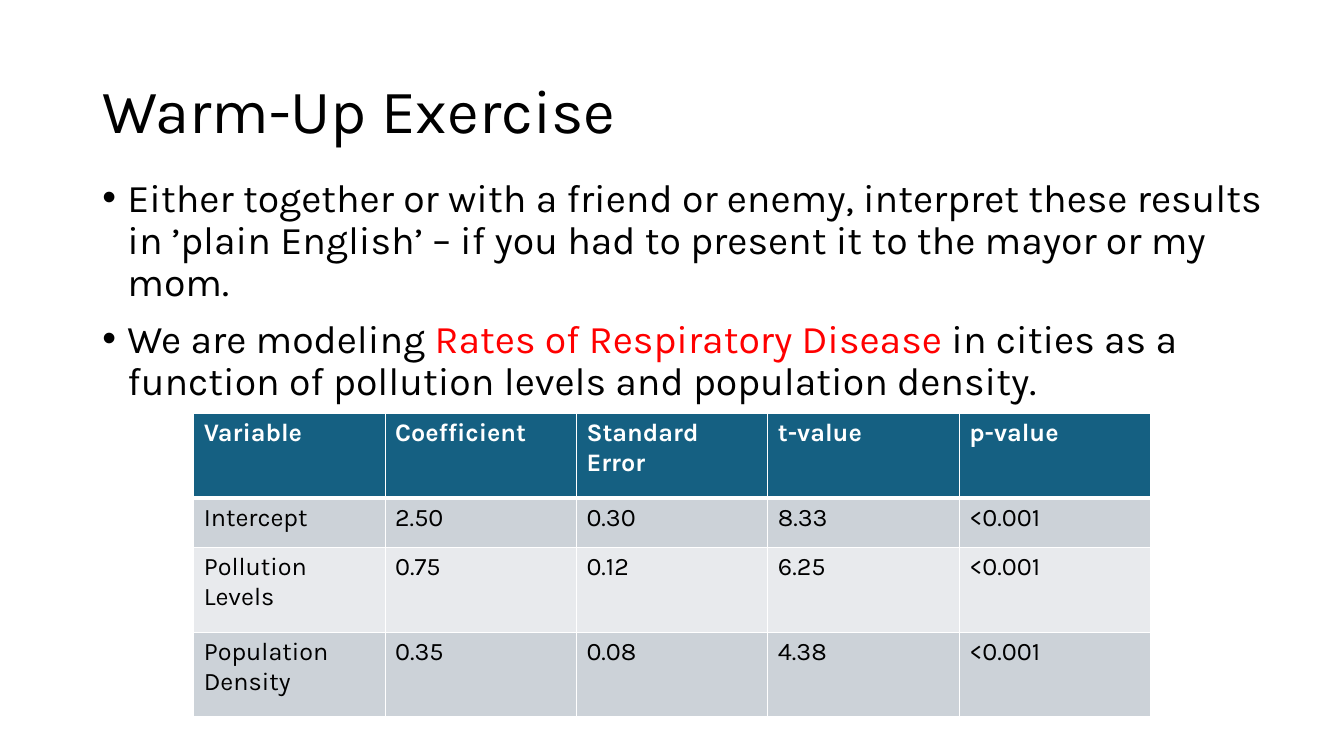
import pptx
import pptx.dml.color
import pptx.enum.text
import pptx.oxml
import pptx.oxml.ns
import pptx.util
from pptx.util import Pt

FONT = "Karla"
BLACK, WHITE, RED = "000000", "FFFFFF", "FF0000"
HEADER_FILL, DARK_BAND, LIGHT_BAND = "156082", "CCD2D8", "E8EAED"

BULLETS = [
    [("Either together or with a friend or enemy, interpret these results in "
      "’plain English’ – if you had to present it to the mayor or my mom.", BLACK)],
    [("We are modeling ", BLACK),
     ("Rates of Respiratory Disease", RED),
     (" in cities as a function of pollution levels and population density.", BLACK)],
]
RESULTS = [
    ["Variable", "Coefficient", "Standard Error", "t-value", "p-value"],
    ["Intercept", "2.50", "0.30", "8.33", "<0.001"],
    ["Pollution Levels", "0.75", "0.12", "6.25", "<0.001"],
    ["Population Density", "0.35", "0.08", "4.38", "<0.001"],
]
ROW_HEIGHTS = [60.5, 35.3, 60.5, 60.5]


def color(hex_string):
    return pptx.dml.color.RGBColor.from_string(hex_string)


def add_run(paragraph, text, size, hex_string, bold=False):
    run = paragraph.add_run()
    run.text = text
    run.font.name = FONT
    run.font.size = Pt(size)
    run.font.bold = bold
    run.font.color.rgb = color(hex_string)


def add_text_frame(slide, left, top, width, height):
    text_frame = slide.shapes.add_textbox(Pt(left), Pt(top), Pt(width), Pt(height)).text_frame
    text_frame.word_wrap = True
    return text_frame


def set_bullet(paragraph, indent):
    properties = paragraph._p.get_or_add_pPr()
    properties.set("marL", str(Pt(indent)))
    properties.set("indent", str(-Pt(indent)))
    namespace = pptx.oxml.ns.nsdecls("a")
    properties.append(pptx.oxml.parse_xml(f'<a:buFont {namespace} typeface="Arial"/>'))
    properties.append(pptx.oxml.parse_xml(f'<a:buChar {namespace} char="•"/>'))


def set_borders(cell, widths):
    """Put the border lines ahead of the fill, in left, right, top, bottom order."""
    properties = cell._tc.get_or_add_tcPr()
    for index, (side, width) in enumerate(zip("LRTB", widths)):
        properties.insert(index, pptx.oxml.parse_xml(
            f'<a:ln{side} {pptx.oxml.ns.nsdecls("a")} w="{Pt(width)}">'
            f'<a:solidFill><a:srgbClr val="{WHITE}"/></a:solidFill></a:ln{side}>'))


def add_title(slide, left, top, width, height):
    text_frame = add_text_frame(slide, left, top, width, height)
    text_frame.vertical_anchor = pptx.enum.text.MSO_ANCHOR.MIDDLE
    paragraph = text_frame.paragraphs[0]
    paragraph.line_spacing = 0.9
    add_run(paragraph, "Warm-Up Exercise", 44, BLACK)


def add_bullets(slide, left, top, width, height):
    text_frame = add_text_frame(slide, left, top, width, height)
    for index, pieces in enumerate(BULLETS):
        paragraph = text_frame.add_paragraph() if index else text_frame.paragraphs[0]
        set_bullet(paragraph, 18)
        paragraph.line_spacing = 0.9
        if index:
            paragraph.space_before = Pt(10)
        for text, hex_string in pieces:
            add_run(paragraph, text, 28, hex_string)


def add_results_table(slide, left, top, width, height):
    row_count, column_count = len(RESULTS), len(RESULTS[0])
    table = slide.shapes.add_table(row_count, column_count, Pt(left), Pt(top),
                                   Pt(width), Pt(height)).table
    for column in table.columns:
        column.width = Pt(width / column_count)
    for row_index, values in enumerate(RESULTS):
        table.rows[row_index].height = Pt(ROW_HEIGHTS[row_index])
        header = row_index == 0
        fill = HEADER_FILL if header else DARK_BAND if row_index % 2 else LIGHT_BAND
        # A thick line parts the header from the first row of values
        top_width = 3 if row_index == 1 else 1
        bottom_width = 3 if header else 1
        for column_index, value in enumerate(values):
            cell = table.cell(row_index, column_index)
            cell.fill.solid()
            cell.fill.fore_color.rgb = color(fill)
            set_borders(cell, (1, 1, top_width, bottom_width))
            add_run(cell.text_frame.paragraphs[0], value, 18,
                    WHITE if header else BLACK, header)


def main():
    presentation = pptx.Presentation()
    presentation.slide_width, presentation.slide_height = Pt(960), Pt(540)
    slide = presentation.slides.add_slide(presentation.slide_layouts[6])
    add_title(slide, 66, 28.75, 828, 104.4)
    add_bullets(slide, 66, 123.8, 850, 146)
    add_results_table(slide, 138.4, 295.4, 683.5, sum(ROW_HEIGHTS))
    presentation.save("out.pptx")


if __name__ == "__main__":
    main()
